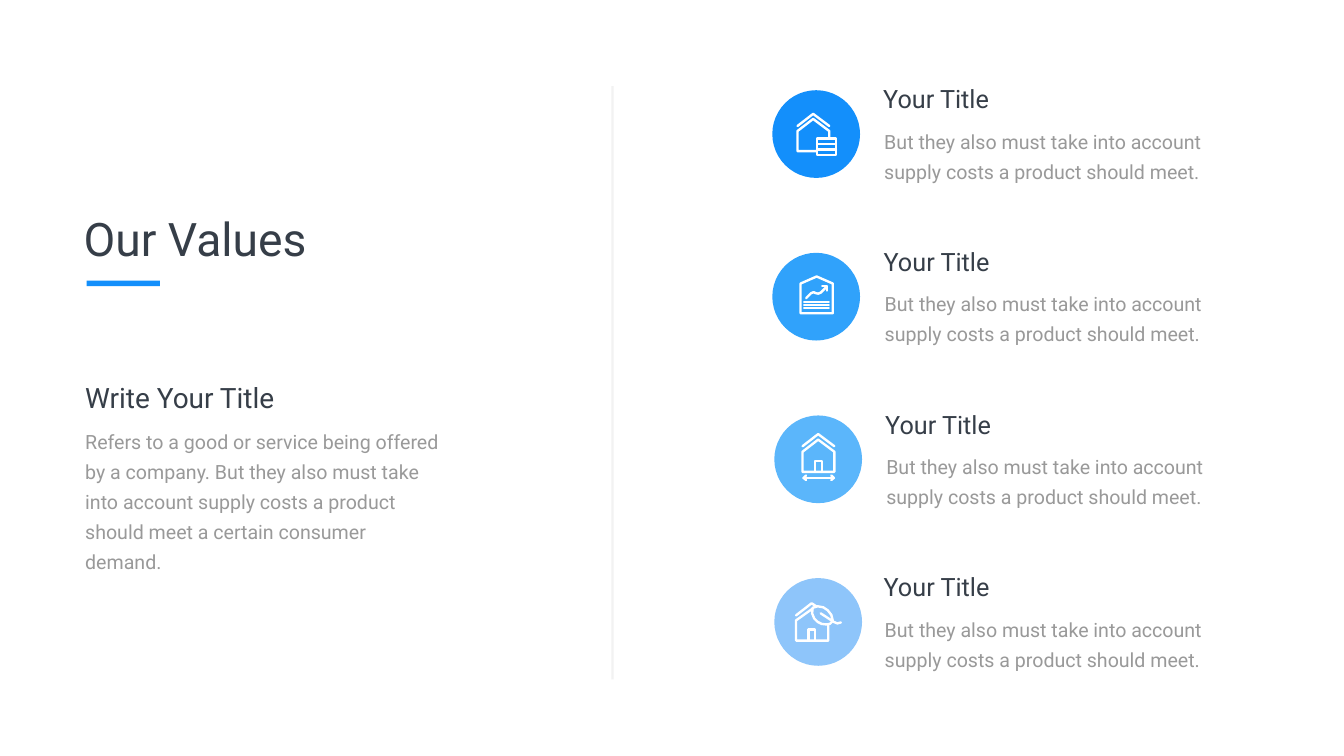
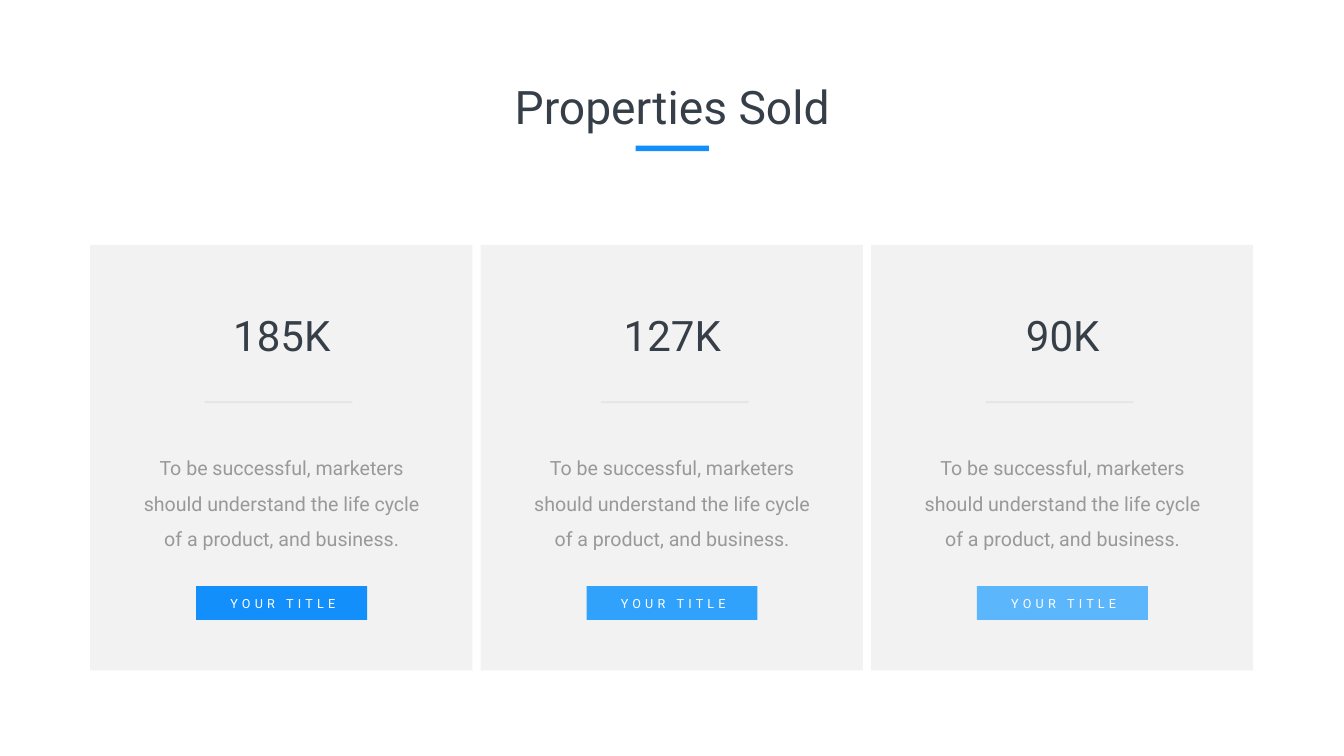
"""Build two slides: company values with icons, and figures for properties sold."""
from lxml import etree
from pptx import Presentation
from pptx.dml.color import RGBColor
from pptx.enum import shapes, text
from pptx.oxml.ns import qn
from pptx.util import Inches, Pt

FONT = "Roboto"
DARK = RGBColor(0x36, 0x3E, 0x48)
GREY = RGBColor(0x99, 0x99, 0x99)
VEIL = RGBColor(0x80, 0x80, 0x80)
WHITE = RGBColor(0xFF, 0xFF, 0xFF)
BLUES = [
    RGBColor(0x13, 0x8F, 0xFB),
    RGBColor(0x30, 0xA2, 0xFB),
    RGBColor(0x5B, 0xB6, 0xFB),
    RGBColor(0x8E, 0xC5, 0xFA),
]
LEFT, CENTER = text.PP_ALIGN.LEFT, text.PP_ALIGN.CENTER
WIDE_INSETS = (0.24, 0.12)

VALUE_TITLE = "Your Title"
VALUE_TEXT = "But they also must take into account supply costs a product should meet."
INTRO_TITLE = "Write Your Title"
INTRO_TEXT = (
    "Refers to a good or service being offered by a company. But they also must take "
    "into account supply costs a product should meet a certain consumer demand."
)
CARD_TEXT = "To be successful, marketers should understand the life cycle of a product, and business."
CARD_TAG = "YOUR TITLE"
CARDS = [("185K", 4.06), ("127K", 11.92), ("90K", 19.55)]

# Each icon is a list of parts, each part a list of strokes in hundredths of an inch.
STORAGE = [
    [
        [(87, 121), (50, 121), (50, 81), (81, 57), (113, 81), (113, 95)],
        [(89, 96), (126, 96), (126, 129), (89, 129), (89, 96)],
        [(89, 107), (126, 107)],
        [(89, 118), (126, 118)],
    ],
    [[(50, 71), (81, 47), (113, 71)]],
]
MARKET = [
    [[(56, 61), (88, 47), (120, 61), (120, 120), (56, 120), (56, 61)]],
    [
        [(67, 90), (77, 80), (82, 78), (86, 80), (91, 81), (96, 79), (108, 67)],
        [(99, 66), (108, 66), (108, 75)],
    ],
    *[[[(63, y), (112, y)]] for y in (97, 104, 110)],
]
SIZE = [
    [
        [(56, 72), (87, 48), (119, 72), (119, 112), (56, 112), (56, 72)],
        [(81, 112), (81, 90), (94, 90), (94, 112)],
    ],
    [[(56, 61), (87, 37), (119, 61)]],
    [
        [(58, 124), (118, 124)],
        [(63, 119), (58, 124), (63, 128)],
        [(113, 119), (118, 124), (113, 128)],
    ],
]
ECOLOGY = [
    [
        [(76, 61), (74, 62), (43, 84), (43, 124), (107, 124), (107, 92)],
        [(68, 124), (68, 102), (81, 102), (81, 124)],
        [(43, 74), (74, 50), (83, 56)],
        [(76, 59), (86, 56), (97, 58), (106, 64), (113, 73), (116, 85), (110, 91), (103, 92),
         (94, 91), (86, 87), (79, 80), (75, 70), (76, 59)],
        [(92, 70), (118, 87), (125, 90), (132, 88)],
    ],
]
VALUES = [(15.32, 17.42, STORAGE), (15.32, 17.43, MARKET), (15.36, 17.46, SIZE), (15.36, 17.43, ECOLOGY)]


def fade(shape):
    """Make the colour of a shape or line ten percent opaque."""
    for color in shape._element.spPr.iter(qn("a:srgbClr")):
        etree.SubElement(color, qn("a:alpha"), val="10000")


def add_block(page, kind, left, top, width, height, color):
    """Add a plain filled shape."""
    block = page.shapes.add_shape(kind, *map(Inches, (left, top, width, height)))
    block.shadow.inherit = False
    block.fill.solid()
    block.fill.fore_color.rgb = color
    block.line.fill.background()
    return block


def add_rule(page, x1, y1, x2, y2):
    """Add a faint grey line."""
    rule = page.shapes.add_connector(shapes.MSO_CONNECTOR.STRAIGHT, *map(Inches, (x1, y1, x2, y2)))
    rule.line.color.rgb = VEIL
    rule.line.width = Pt(3)
    fade(rule)
    etree.SubElement(rule._element.spPr, qn("a:effectLst"))


def add_text(page, words, at, size, color=DARK, align=LEFT, spacing=None, insets=(0.1, 0.05),
             wrap=True, tracking=None, box=None):
    """Write one paragraph in a new text box or in the given placeholder."""
    place = [Inches(value) for value in at]
    box = box or page.shapes.add_textbox(*place)
    box.left, box.top, box.width, box.height = place
    frame = box.text_frame
    frame.word_wrap = wrap
    frame.auto_size = text.MSO_AUTO_SIZE.SHAPE_TO_FIT_TEXT
    frame.vertical_anchor = text.MSO_ANCHOR.TOP
    frame.margin_left = frame.margin_right = Inches(insets[0])
    frame.margin_top = frame.margin_bottom = Inches(insets[1])
    para = frame.paragraphs[0]
    para.alignment = align
    para.line_spacing = spacing
    span = para.add_run()
    span.text = words
    span.font.name, span.font.size = FONT, Pt(size)
    span.font.color.rgb = color
    if tracking:
        span._r.get_or_add_rPr().set("spc", str(tracking * 100))


def add_body(page, words, at):
    """Write a grey paragraph with fixed line spacing."""
    add_text(page, words, at, 28, color=GREY, spacing=Pt(43), insets=WIDE_INSETS)


def add_icon(page, parts, left, top):
    """Draw the white strokes of an icon."""
    for strokes in parts:
        builder = None
        for start, *rest in strokes:
            if builder is None:
                builder = page.shapes.build_freeform(*start, scale=Inches(0.01))
            else:
                builder.move_to(*start)
            builder.add_line_segments(rest, close=rest[-1] == start)
        icon = builder.convert_to_shape(Inches(left), Inches(top))
        icon.shadow.inherit = False
        icon.fill.background()
        icon.line.color.rgb = WHITE
        icon.line.width = Pt(3.4)
        outline = icon._element.spPr.find(qn("a:ln"))
        outline.set("cap", "rnd")
        etree.SubElement(outline, qn("a:round"))


def start_page(deck, title, at, align, bar_left, bar_top):
    """Add a slide with its title and the blue bar below it."""
    page = deck.slides.add_slide(deck.slide_layouts[5])
    add_text(page, title, at, 66, align=align, box=page.shapes.title)
    add_block(page, shapes.MSO_SHAPE.RECTANGLE, bar_left, bar_top, 1.45, 0.11, BLUES[0])
    return page


def build_values(deck):
    """Build the slide of four values."""
    page = start_page(deck, "Our Values", (1.56, 4.12, 5.55, 1.21), LEFT, 1.72, 5.57)
    add_rule(page, 12.15, 1.71, 12.15, 13.48)
    add_text(page, INTRO_TITLE, (1.59, 7.51, 5.44, 0.77), 40)
    add_body(page, INTRO_TEXT, (1.45, 8.28, 7.55, 2.6))
    pitch = 9.68 / 3
    for row, (circle_left, title_left, icon) in enumerate(VALUES):
        top = 1.79 + row * pitch
        add_block(page, shapes.MSO_SHAPE.OVAL, circle_left, top, 1.74, 1.74, BLUES[row])
        add_icon(page, icon, circle_left, top)
        add_text(page, VALUE_TITLE, (title_left, top - 0.18, 2.35, 0.71), 36, wrap=False)
        add_body(page, VALUE_TEXT, (title_left - 0.12, top + 0.53, 6.81, 1.39))


def build_sales(deck):
    """Build the slide of three figure cards."""
    page = start_page(deck, "Properties Sold", (8.6, 1.5, 9.47, 1.21), CENTER, 12.61, 2.89)
    box = shapes.MSO_SHAPE.RECTANGLE
    pitch = 15.49 / 2
    for column, (figure, rule_left) in enumerate(CARDS):
        left = 1.79 + column * pitch
        fade(add_block(page, box, left, 4.86, 7.58, 8.44, VEIL))
        add_text(page, figure, (left + 2.44, 6.09, 2.72, 1.11), 60, align=CENTER)
        add_rule(page, rule_left, 7.98, rule_left + 2.93, 7.98)
        add_text(page, CARD_TEXT, (left + 0.9, 8.77, 5.79, 2.14), 28, color=GREY, align=CENTER, spacing=1.5)
        add_block(page, box, left + 2.1, 11.63, 3.39, 0.67, BLUES[column])
        add_text(page, CARD_TAG, (left + 2.46, 11.77, 2.72, 0.4), 18, color=WHITE, align=CENTER, tracking=6)


def main():
    """Build and save the deck."""
    deck = Presentation()
    deck.slide_width, deck.slide_height = Inches(26.66), Inches(15)
    build_values(deck)
    build_sales(deck)
    deck.save("out.pptx")


if __name__ == "__main__":
    main()
